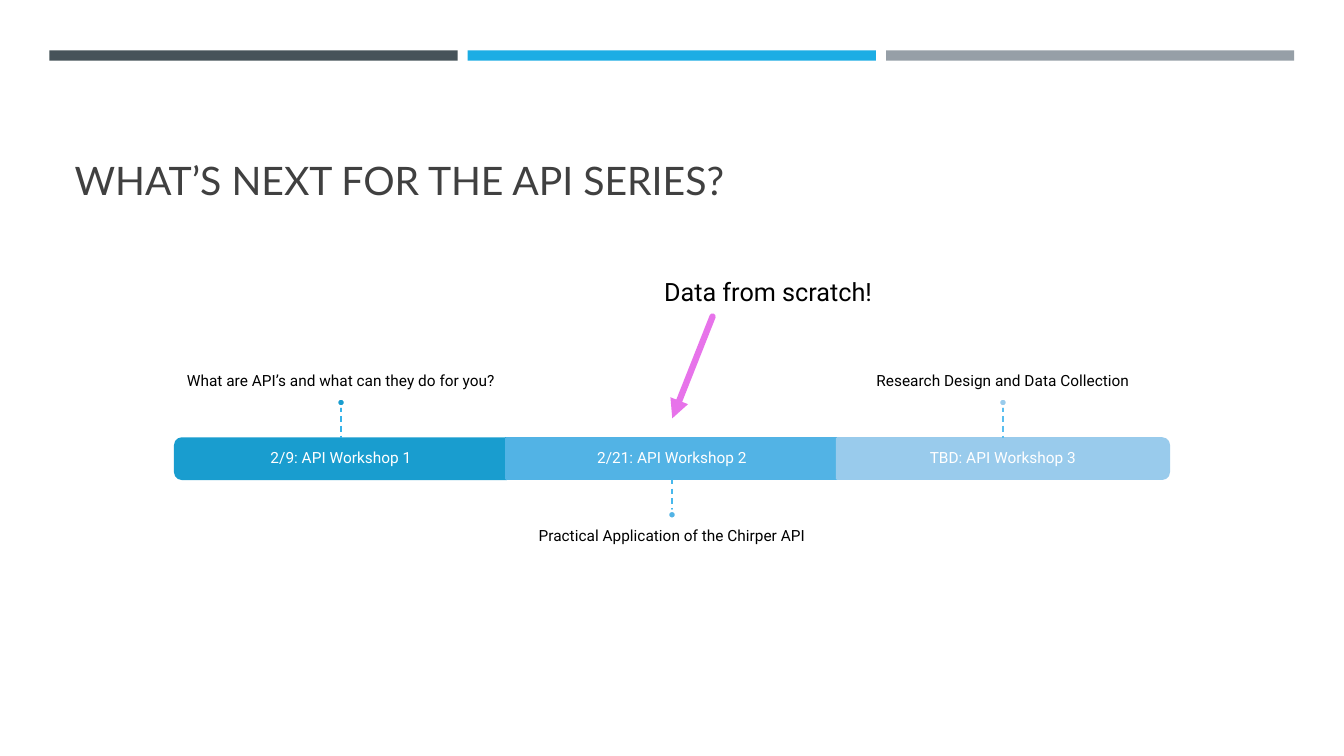
from dataclasses import dataclass

from lxml.etree import SubElement
from pptx import Presentation
from pptx.dml.color import RGBColor
from pptx.enum.dml import MSO_LINE
from pptx.enum.shapes import MSO_CONNECTOR, MSO_SHAPE as Preset
from pptx.enum.text import MSO_ANCHOR as Anchor, MSO_AUTO_SIZE, PP_ALIGN as Align
from pptx.oxml.ns import qn
from pptx.util import Pt

TITLE = "WHAT’S NEXT FOR THE API SERIES?"
CALLOUT = "Data from scratch!"
WORKSHOPS = [
    dict(name="2/9: API Workshop 1", topic="What are API’s and what can they do for you?",
         fill="199DCF", stem="36B3E9", outline=Preset.ROUND_2_SAME_RECTANGLE, turn=270,
         above=True),
    dict(name="2/21: API Workshop 2", topic="Practical Application of the Chirper API",
         fill="52B3E5", stem="48B8EC", outline=Preset.RECTANGLE, turn=0, above=False),
    dict(name="TBD: API Workshop 3", topic="Research Design and Data Collection",
         fill="99CBEC", stem="5ABEEF", outline=Preset.ROUND_2_SAME_RECTANGLE, turn=90,
         above=True),
]


@dataclass(frozen=True)
class Theme:
    bands: tuple = ("465359", "1CADE4", "969FA7")
    title: str = "404040"
    ink: str = "000000"
    paper: str = "FFFFFF"
    arrow: str = "E773EA"
    title_font: str = "Lato"
    body_font: str = "Roboto"
    title_size: float = 28
    callout_size: float = 18
    label_size: float = 11
    edge: float = 1.75


THEME = Theme()
SLIDE_W, SLIDE_H = 960, 540
BAND_LEFT, BAND_TOP, BAND_W, BAND_H, BAND_STEP = 35.3, 36, 291.6, 7.4, 298.8
BAR_STEP, BAR_W, BAR_TOP, BAR_H = 236.4, 236.9, 313.2, 28.8
STEM, DOT = 22.8, 5.8
TOPIC_W, TOPIC_H = 394.6, 100
INSET = 6.5


def color(code):
    return RGBColor.from_string(code)


def write(frame, text, size, ink, font=THEME.body_font, align=Align.LEFT, spacing=None,
          **frame_format):
    settings = dict(word_wrap=True, auto_size=MSO_AUTO_SIZE.NONE) | frame_format
    for key, value in settings.items():
        setattr(frame, key, value)
    paragraph = frame.paragraphs[0]
    paragraph.text = text
    paragraph.alignment = align
    paragraph.line_spacing = spacing
    for key, value in dict(name=font, size=Pt(size)).items():
        setattr(paragraph.font, key, value)
    paragraph.font.color.rgb = color(ink)


def add_label(slide, box, text, ink, anchor, top=0, bottom=0):
    label = slide.shapes.add_textbox(*map(Pt, box))
    write(label.text_frame, text, THEME.label_size, ink, align=Align.CENTER, spacing=0.9,
          vertical_anchor=anchor, margin_left=0, margin_right=0,
          margin_top=Pt(top), margin_bottom=Pt(bottom))


def add_block(slide, preset, box, fill, edge=None):
    block = slide.shapes.add_shape(preset, *map(Pt, box))
    block.shadow.inherit = False
    block.fill.solid()
    block.fill.fore_color.rgb = color(fill)
    if edge:
        block.line.color.rgb = color(edge)
        block.line.width = Pt(THEME.edge)
    else:
        block.line.fill.background()
    return block


def add_line(slide, start, end, stroke, width):
    line = slide.shapes.add_connector(MSO_CONNECTOR.STRAIGHT, *map(Pt, start + end))
    line.line.color.rgb = color(stroke)
    line.line.width = Pt(width)
    SubElement(line._element.spPr, qn("a:effectLst"))
    return line


def add_workshop(slide, workshop, center):
    middle = BAR_TOP + BAR_H / 2
    wide, tall = (BAR_H, BAR_W) if workshop["turn"] else (BAR_W, BAR_H)
    bar = add_block(slide, workshop["outline"],
                    (center - wide / 2, middle - tall / 2, wide, tall),
                    workshop["fill"], workshop["fill"])
    bar.rotation = workshop["turn"]
    add_label(slide, (center - BAR_W / 2, BAR_TOP, BAR_W, BAR_H), workshop["name"],
              THEME.paper, Anchor.MIDDLE)

    if workshop["above"]:
        stem_start, stem_end = BAR_TOP - STEM, BAR_TOP
        dot_top = stem_start - DOT
        topic_top, anchor, inset = dot_top - TOPIC_H, Anchor.BOTTOM, dict(bottom=INSET)
    else:
        stem_start = BAR_TOP + BAR_H
        stem_end = dot_top = stem_start + STEM
        topic_top, anchor, inset = dot_top + DOT, Anchor.TOP, dict(top=INSET)
    add_label(slide, (center - TOPIC_W / 2, topic_top, TOPIC_W, TOPIC_H), workshop["topic"],
              THEME.ink, anchor, **inset)
    stem = add_line(slide, (center, stem_start), (center, stem_end), workshop["stem"], 1)
    stem.line.dash_style = MSO_LINE.DASH
    add_block(slide, Preset.OVAL, (center - DOT / 2, dot_top, DOT, DOT),
              workshop["fill"], THEME.paper)


def add_callout(slide):
    arrow = add_line(slide, (509, 226.1), (480.2, 298.8), THEME.arrow, 4.5)
    stroke = arrow.line._get_or_add_ln()
    stroke.set("cap", "rnd")
    SubElement(stroke, qn("a:tailEnd"), type="triangle")
    box = slide.shapes.add_textbox(*map(Pt, (467.3, 193.7, 167, 28.8)))
    write(box.text_frame, CALLOUT, THEME.callout_size, THEME.ink, word_wrap=False)


def main():
    deck = Presentation()
    deck.slide_width, deck.slide_height = Pt(SLIDE_W), Pt(SLIDE_H)
    slide = deck.slides.add_slide(deck.slide_layouts[5])

    for i, fill in enumerate(THEME.bands):
        add_block(slide, Preset.RECTANGLE,
                  (BAND_LEFT + i * BAND_STEP, BAND_TOP, BAND_W, BAND_H), fill)

    title = slide.shapes.title
    for key, value in dict(left=46.1, top=55.4, width=868.3, height=93.6).items():
        setattr(title, key, Pt(value))
    write(title.text_frame, TITLE, THEME.title_size, THEME.title, THEME.title_font,
          vertical_anchor=Anchor.BOTTOM)

    for i, workshop in enumerate(WORKSHOPS):
        add_workshop(slide, workshop, SLIDE_W / 2 + (i - 1) * BAR_STEP)
    add_callout(slide)
    deck.save("out.pptx")


if __name__ == "__main__":
    main()
